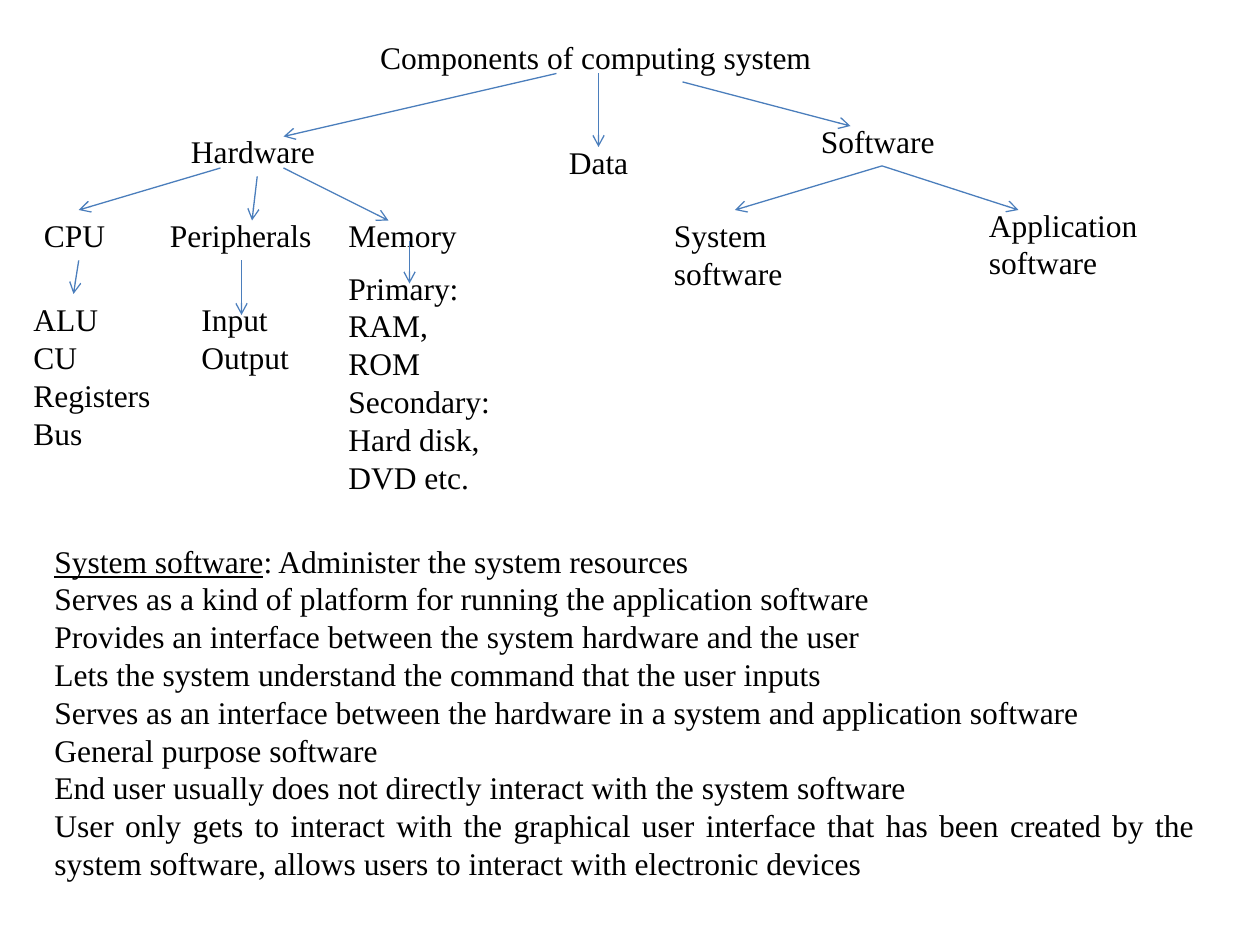
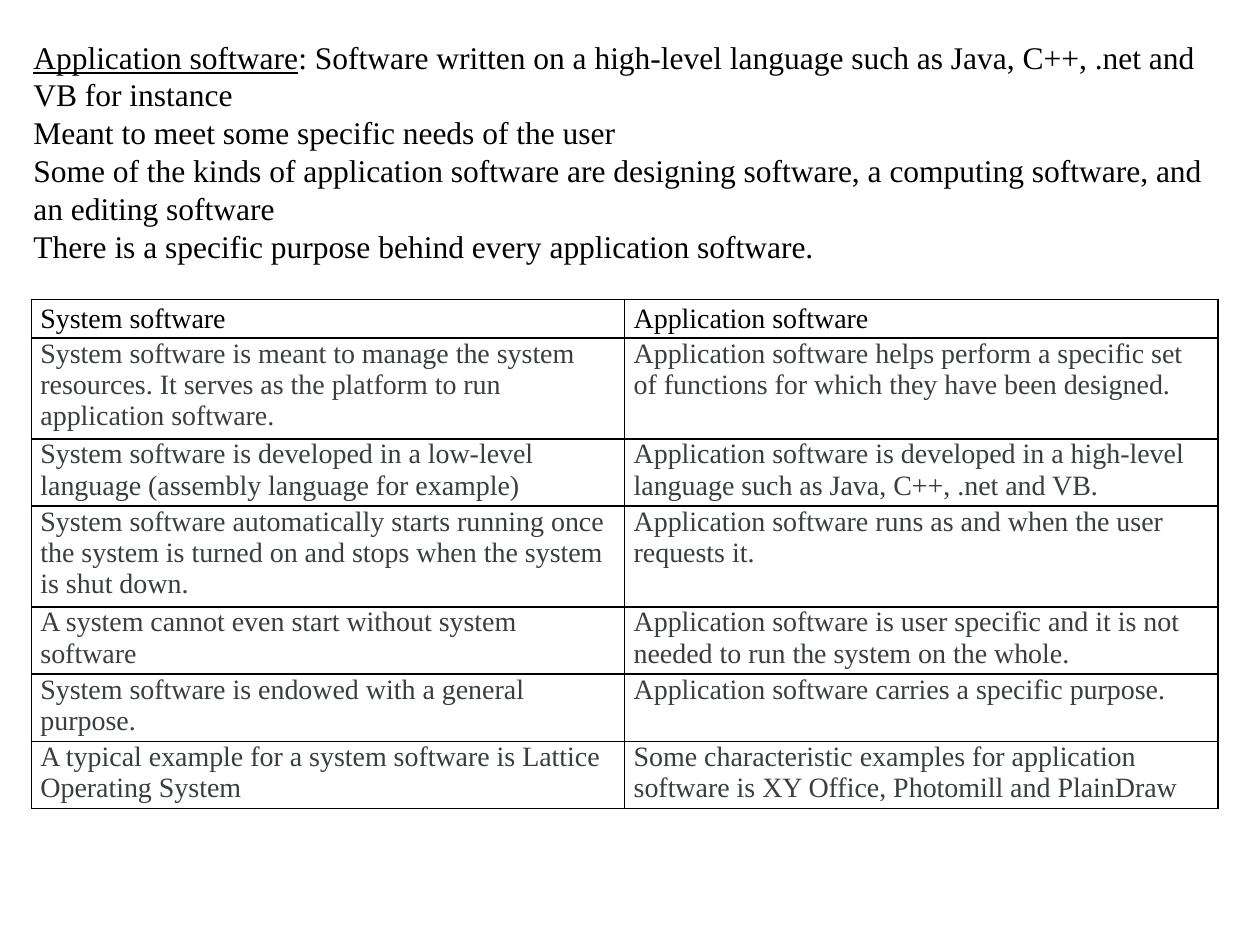
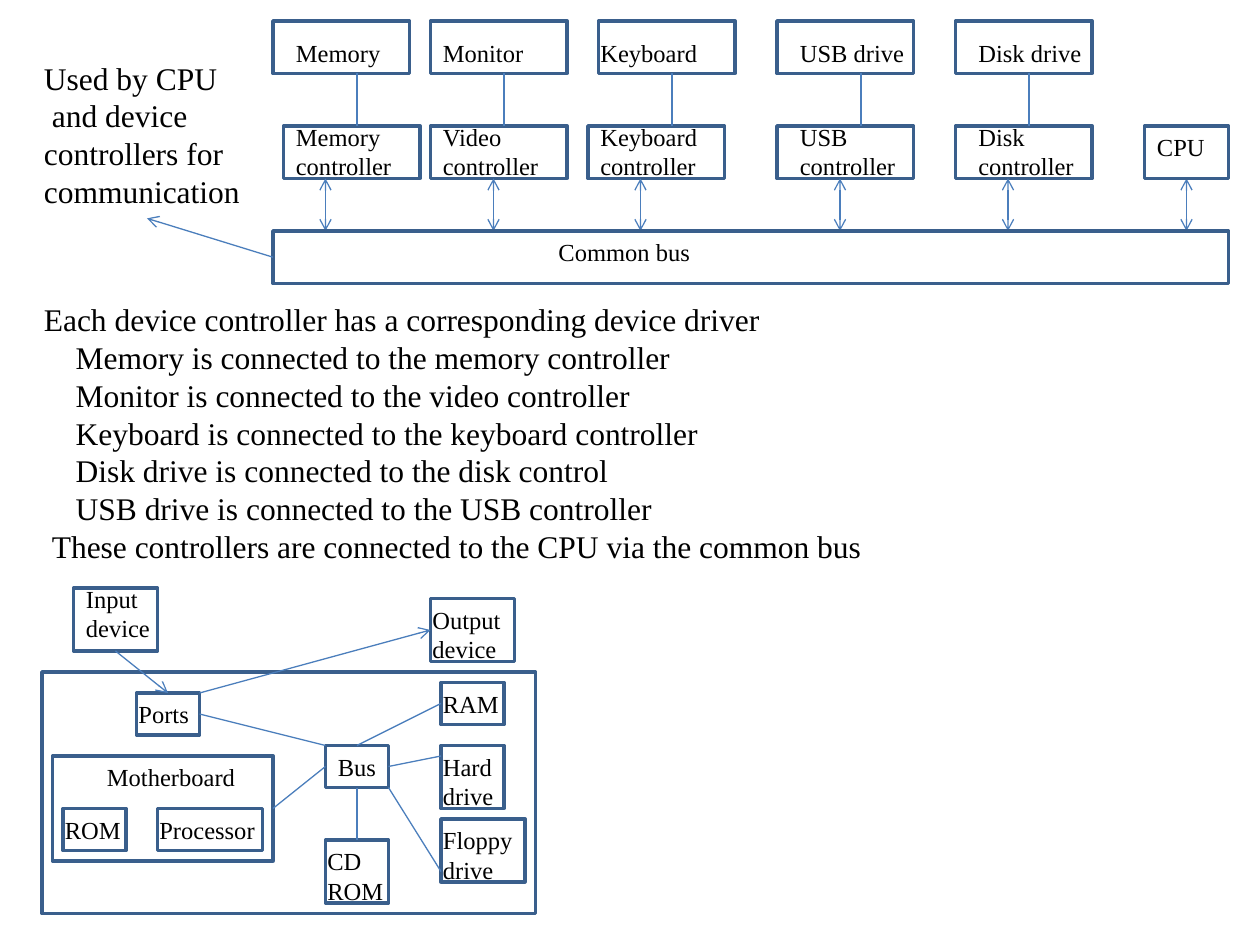
from dataclasses import dataclass, field

from lxml import etree
from pptx import Presentation
from pptx import util as u
from pptx.dml.color import RGBColor
from pptx.enum import shapes, text
from pptx.oxml.ns import qn

COLORS = {"ink": "000000", "body": "3A3E41", "arrow": "4B7EBC", "frame": "3A5F8C"}
FONT = "Times New Roman"
TITLE_ONLY, BLANK = 5, 6


@dataclass
class Label:
    words: str
    left: float
    top: float
    width: float
    lines: int = 1
    size: int = 18
    lead: str = ""
    justified: bool = False
    indents: dict[int, float] = field(default_factory=dict)


@dataclass
class Part:
    name: str
    left: float
    top: float
    width: float
    height: float
    label_left: float
    label_width: float
    label_rise: float = 0
    lines: int = 1


@dataclass
class Device:
    name: str
    controller: str
    label_left: float
    label_width: float
    left: float
    controller_left: float
    link: float
    bus_link: float


@dataclass
class Link:
    x1: float
    y1: float
    x2: float
    y2: float
    head: bool = False
    tail: bool = True


def grid(twelfths: float) -> u.Length:
    return u.Cm(twelfths * 2.54 / 12)


def rgb(name: str) -> RGBColor:
    return RGBColor.from_string(COLORS[name])


def style_paragraph(paragraph, size: int, color: str) -> None:
    for run in paragraph.runs:
        run.font.name = FONT
        run.font.size = u.Pt(size)
        run.font.color.rgb = rgb(color)


def fill_label(shape, label: Label) -> None:
    shape.left, shape.top = grid(label.left), grid(label.top)
    shape.width = grid(label.width)
    shape.height = grid(label.lines * label.size * 0.2 + 1.2)
    frame = shape.text_frame
    frame.text = label.words
    frame.word_wrap = True
    frame.auto_size = text.MSO_AUTO_SIZE.SHAPE_TO_FIT_TEXT
    frame.vertical_anchor = text.MSO_ANCHOR.TOP
    if label.lead:
        opening = frame.paragraphs[0]
        rest = opening.text.removeprefix(label.lead)
        opening.text = label.lead
        opening.runs[0].font.underline = True
        opening.add_run().text = rest
    for index, paragraph in enumerate(frame.paragraphs):
        paragraph.alignment = text.PP_ALIGN.JUSTIFY if label.justified else text.PP_ALIGN.LEFT
        style_paragraph(paragraph, label.size, "ink")
        if index in label.indents:
            paragraph._p.get_or_add_pPr().set("marL", str(u.Cm(label.indents[index])))


def draw_label(slide, label: Label) -> None:
    fill_label(slide.shapes.add_textbox(0, 0, 0, 0), label)


def draw_frame(slide, left: float, top: float, width: float, height: float) -> None:
    frame = slide.shapes.add_shape(
        shapes.MSO_SHAPE.RECTANGLE, grid(left), grid(top), grid(width), grid(height)
    )
    frame.shadow.inherit = False
    frame.fill.background()
    frame.line.color.rgb = rgb("frame")
    frame.line.width = u.Pt(2)


def draw_part(slide, part: Part) -> None:
    draw_frame(slide, part.left, part.top, part.width, part.height)
    draw_label(slide, Label(part.name, part.label_left, part.top - part.label_rise,
                            part.label_width, part.lines, 14))


def draw_link(slide, link: Link) -> None:
    connector = slide.shapes.add_connector(
        shapes.MSO_CONNECTOR.STRAIGHT,
        grid(link.x1), grid(link.y1), grid(link.x2), grid(link.y2),
    )
    connector.line.color.rgb = rgb("arrow")
    connector.line.width = u.Pt(0.75)
    properties = connector._element.spPr
    outline = properties.find(qn("a:ln"))
    for tag, shown in (("a:headEnd", link.head), ("a:tailEnd", link.tail)):
        if shown:
            etree.SubElement(outline, qn(tag), type="arrow")
    etree.SubElement(properties, qn("a:effectLst"))


def add_borders(cell) -> None:
    properties = cell._tc.get_or_add_tcPr()
    for index, side in enumerate(("a:lnL", "a:lnR", "a:lnT", "a:lnB")):
        border = etree.Element(qn(side), w=str(u.Pt(1)))
        fill = etree.SubElement(border, qn("a:solidFill"))
        etree.SubElement(fill, qn("a:srgbClr"), val=COLORS["ink"])
        properties.insert(index, border)


COMPONENTS = Label("Components of computing system", 35, 3, 60)

TREE_LABELS = [
    Label("Hardware", 17, 12, 15),
    Label("Data", 53, 13, 11),
    Label("Software", 77, 11, 14),
    Label("CPU", 3, 20, 9),
    Label("Peripherals", 15, 20, 16),
    Label("Memory", 32, 20, 14),
    Label("System software", 63, 20, 14, 2),
    Label("Application software", 93, 19, 17, 2),
    Label("ALU\nCU\nRegisters\nBus", 2, 28, 14, 4),
    Label("Input\nOutput", 18, 28, 11, 2),
    Label("Primary: RAM, ROM\nSecondary: Hard disk, DVD etc.", 32, 25, 16, 6),
    Label(
        "System software: Administer the system resources\n"
        "Serves as a kind of platform for running the application software\n"
        "Provides an interface between the system hardware and the user\n"
        "Lets the system understand the command that the user inputs\n"
        "Serves as an interface between the hardware in a system and application software\n"
        "General purpose software\n"
        "End user usually does not directly interact with the system software\n"
        "User only gets to interact with the graphical user interface that has been "
        "created by the system software, allows users to interact with electronic devices",
        4, 51, 111, 9, lead="System software", justified=True,
    ),
]

TREE_LINKS = [
    Link(53, 7, 27, 13), Link(57, 7, 57, 14), Link(65, 7.8, 81, 12),
    Link(21, 16, 7.5, 20), Link(24.5, 16.8, 24, 21), Link(27, 16, 37, 21),
    Link(84, 15.8, 70, 20), Link(84, 15.8, 97, 20),
    Link(7.5, 24.8, 7, 28), Link(23, 24.8, 23, 30), Link(39, 23, 39, 27),
]

APPLICATION_NOTE = Label(
    "Application software: Software written on a high-level language such as "
    "Java, C++, .net and VB for instance\n"
    "Meant to meet some specific needs of the user\n"
    "Some of the kinds of application software are designing software, a computing "
    "software, and an editing software\n"
    "There is a specific purpose behind every application software.",
    2, 3, 115, 6, lead="Application software",
)

COMPARISON = [
    ("System software", "Application software"),
    ("System software is meant to manage the system resources. It serves as the "
     "platform to run application software.",
     "Application software helps perform a specific set of functions for which they "
     "have been designed."),
    ("System software is developed in a low-level language (assembly language for example)",
     "Application software is developed in a high-level language such as Java, C++, "
     ".net and VB."),
    ("System software automatically starts running once the system is turned on and "
     "stops when the system is shut down.",
     "Application software runs as and when the user requests it."),
    ("A system cannot even start without system software",
     "Application software is user specific and it is not needed to run the system "
     "on the whole."),
    ("System software is endowed with a general purpose.",
     "Application software carries a specific purpose."),
    ("A typical example for a system software is Lattice Operating System",
     "Some characteristic examples for application software is XY Office, Photomill "
     "and PlainDraw"),
]
ROW_HEIGHTS = [3.7, 9.6, 6.4, 9.6, 6.4, 6.4, 6.4]

DEVICES = [
    Device("Memory", "Memory controller", 27, 11, 26, 27, 34, 31),
    Device("Monitor", "Video controller", 41, 12, 41, 41, 48, 47),
    Device("Keyboard", "Keyboard controller", 56, 12, 57, 56, 64, 61),
    Device("USB drive", "USB controller", 75, 13, 74, 74, 82, 80),
    Device("Disk drive", "Disk\ncontroller", 92, 14, 91, 91, 98, 96),
]
DRIVE_TOP, CONTROLLER_TOP, BUS_TOP = 2, 12, 22
BOX_WIDTH, BOX_HEIGHT = 13, 5
CPU_LINK = 113

PARTS = [
    Part("CPU", 109, CONTROLLER_TOP, 8, BOX_HEIGHT, 109, 8),
    Part("Common bus", 26, BUS_TOP, 91, BOX_HEIGHT, 52, 21),
    Part("Input device", 7, 56, 8, 6, 7, 9, 1, 2),
    Part("Output device", 41, 57, 8, 6, 40, 9, 0, 2),
    Part("Ports", 13, 66, 6, 4, 12, 9),
    Part("Motherboard", 5, 72, 21, 10, 9, 15),
    Part("ROM", 6, 77, 6, 4, 5, 8),
    Part("Processor", 15, 77, 10, 4, 14, 12),
    Part("Bus", 31, 71, 6, 4, 31, 7),
    Part("CD ROM", 31, 80, 6, 6, 30, 9, 0, 2),
    Part("RAM", 42, 65, 6, 4, 41, 9),
    Part("Hard drive", 42, 71, 6, 6, 41, 9, 0, 2),
    Part("Floppy drive", 42, 78, 8, 6, 41, 10, 0, 2),
]

PART_LINKS = [
    Link(26, 24.5, 14, 20.8),
    Link(11, 62, 16, 66),
    Link(19, 66, 41, 60),
    Link(34, 71, 42, 67, tail=False),
    Link(37, 73, 42, 72, tail=False),
    Link(37, 75, 42, 83, tail=False),
    Link(34, 75, 34, 80, tail=False),
    Link(26, 77, 31, 73, tail=False),
    Link(19, 68, 31, 71, tail=False),
]

BUS_NOTES = [
    Label("Used by CPU\nand device\ncontrollers for communication", 3, 5, 22, 4,
          indents={1: 0.16}),
    Label(
        "Each device controller has a corresponding device driver\n"
        "Memory is connected to the memory controller\n"
        "Monitor is connected to the video controller\n"
        "Keyboard is connected to the keyboard controller\n"
        "Disk drive is connected to the disk control\n"
        "USB drive is connected to the USB controller\n"
        "These controllers are connected to the CPU via the common bus",
        3, 28, 81, 7, indents={**dict.fromkeys(range(1, 6), 0.64), 6: 0.16},
    ),
]


def build_components(slide) -> None:
    fill_label(slide.shapes.title, COMPONENTS)
    for label in TREE_LABELS:
        draw_label(slide, label)
    for link in TREE_LINKS:
        draw_link(slide, link)


def build_comparison(slide) -> None:
    draw_label(slide, APPLICATION_NOTE)
    table = slide.shapes.add_table(
        len(COMPARISON), 2, grid(3), grid(28.5), grid(113), grid(sum(ROW_HEIGHTS))
    ).table
    table.first_row = table.horz_banding = False
    for row, height in zip(table.rows, ROW_HEIGHTS):
        row.height = grid(height)
    for row_index, entries in enumerate(COMPARISON):
        for column_index, entry in enumerate(entries):
            cell = table.cell(row_index, column_index)
            cell.text_frame.text = entry
            cell.margin_left = cell.margin_right = u.Cm(0.18)
            cell.margin_top = cell.margin_bottom = 0
            cell.fill.background()
            paragraph = cell.text_frame.paragraphs[0]
            style_paragraph(paragraph, 16, "body" if row_index else "ink")
            if row_index == 0:
                paragraph.line_spacing = 1.15
            add_borders(cell)


def build_bus(slide) -> None:
    drive_bottom = DRIVE_TOP + BOX_HEIGHT
    controller_bottom = CONTROLLER_TOP + BOX_HEIGHT
    for device in DEVICES:
        draw_part(slide, Part(device.name, device.left, DRIVE_TOP, BOX_WIDTH, BOX_HEIGHT,
                              device.label_left, device.label_width, -1))
        draw_part(slide, Part(device.controller, device.controller_left, CONTROLLER_TOP,
                              BOX_WIDTH, BOX_HEIGHT, device.label_left, 12, 1, 2))
        draw_link(slide, Link(device.link, drive_bottom, device.link, CONTROLLER_TOP, tail=False))
    for x in [device.bus_link for device in DEVICES] + [CPU_LINK]:
        draw_link(slide, Link(x, controller_bottom, x, BUS_TOP, head=True))
    draw_frame(slide, 4, 64, 47, 23)
    for part in PARTS:
        draw_part(slide, part)
    for link in PART_LINKS:
        draw_link(slide, link)
    for note in BUS_NOTES:
        draw_label(slide, note)


def main() -> None:
    deck = Presentation()
    deck.slide_width, deck.slide_height = u.Cm(25.4), u.Cm(19.05)
    for layout, build in (
        (TITLE_ONLY, build_components), (BLANK, build_comparison), (BLANK, build_bus)
    ):
        build(deck.slides.add_slide(deck.slide_layouts[layout]))
    deck.save("out.pptx")


if __name__ == "__main__":
    main()
